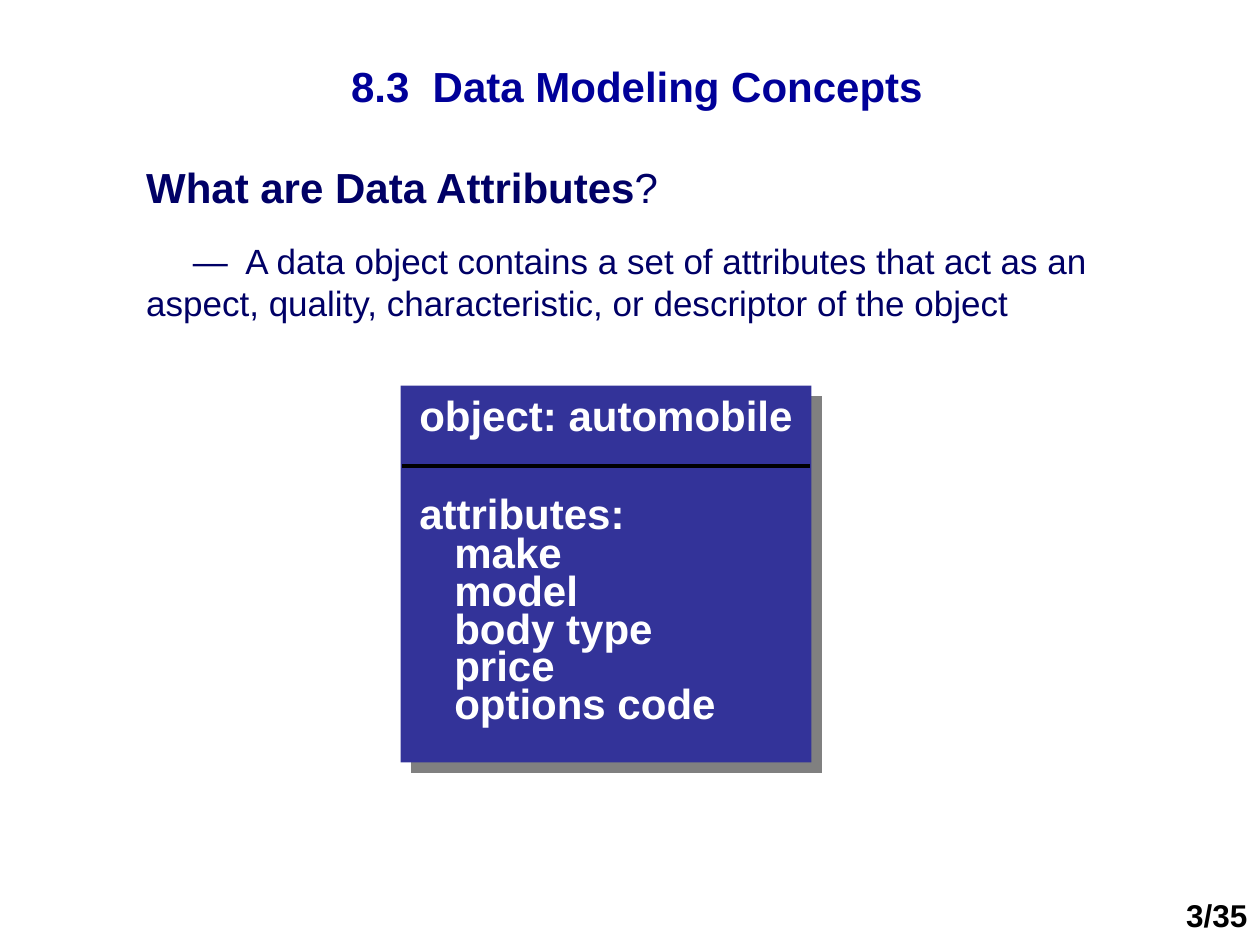
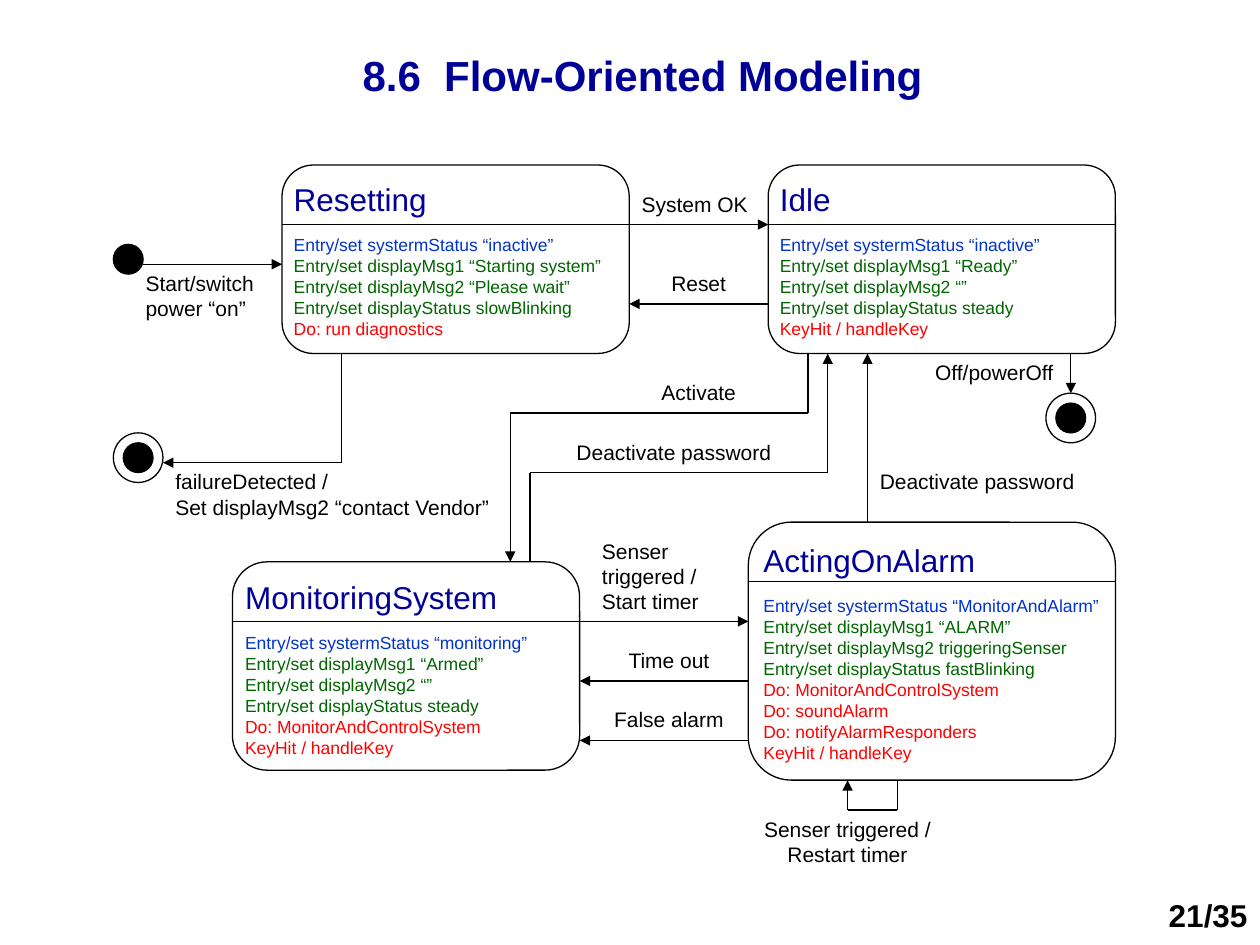
from lxml import etree
from pptx import Presentation, util as u
from pptx.dml import color as c
from pptx.enum import shapes as s, text as t
from pptx.oxml import ns

INK = {
    "title": "000099", "body": "000066", "card": "333399", "shade": "808080",
    "line": "000000", "white": "FFFFFF", "status": "0033CC",
    "entry": "006600", "act": "FF0000",
}
FACE = "Arial"
WIDE, HIGH = u.Inches(10), u.Inches(7.5)
STEP = u.Mm(2)
LEFT, TOP = u.Inches(0.9), u.Inches(1.31)
ALIGN = {"l": t.PP_ALIGN.LEFT, "c": t.PP_ALIGN.CENTER, "r": t.PP_ALIGN.RIGHT}


def share(x, y, w, h):
    return [int(n * side / 100) for n, side in zip((x, y, w, h), (WIDE, HIGH) * 2)]


def point(col, row):
    return LEFT + int(col * STEP), TOP + int(row * STEP)


def cells(col, row, w, h):
    return [*point(col, row), int(w * STEP), int(h * STEP)]


def rgb(name):
    return c.RGBColor.from_string(INK[name])


def style(run, size, ink, bold):
    run.font.name, run.font.size, run.font.bold = FACE, u.Pt(size), bold
    run.font.color.rgb = rgb(ink)


def write(frame, *lines, size=12, ink="line", bold=False, align="l",
          before=0, indent=0, first=0, pitch=None, mid=False, inset=(0.1, 0.1)):
    frame.word_wrap = True
    frame.auto_size = t.MSO_AUTO_SIZE.NONE
    frame.vertical_anchor = t.MSO_ANCHOR.MIDDLE if mid else t.MSO_ANCHOR.TOP
    frame.margin_left, frame.margin_right = [u.Inches(n) for n in inset]
    frame.margin_top = frame.margin_bottom = u.Inches(0.05)
    base = dict(size=size, ink=ink, bold=bold, before=before,
                indent=indent, first=first, pitch=pitch)
    for n, line in enumerate(lines):
        words, more = line if isinstance(line, tuple) else (line, {})
        look = {**base, **more}
        para = frame.paragraphs[0] if n == 0 else frame.add_paragraph()
        props = para._p.get_or_add_pPr()
        props.set("marL", str(u.Pt(look["indent"])))
        props.set("indent", str(u.Pt(look["first"])))
        etree.SubElement(props, ns.qn("a:buNone"))
        para.alignment = ALIGN[align]
        para.space_before = u.Pt(look["before"])
        if look["pitch"]:
            para.line_spacing = look["pitch"]
        run = para.add_run()
        run.text = words
        style(run, look["size"], look["ink"], look["bold"])


def label(page, box, *lines, **look):
    write(page.shapes.add_textbox(*box).text_frame, *lines, **look)


def form(page, kind, box, fill=None, line="line"):
    item = page.shapes.add_shape(kind, *box)
    item.shadow.inherit = False
    if fill:
        item.fill.solid()
        item.fill.fore_color.rgb = rgb(fill)
    else:
        item.fill.background()
    if line:
        item.line.color.rgb = rgb(line)
        item.line.width = u.Pt(0.75)
    else:
        item.line.fill.background()
    return item


def shade(item):
    effects = item._element.spPr.find(ns.qn("a:effectLst"))
    cast = etree.SubElement(effects, ns.qn("a:outerShdw"), blurRad="0",
                            dist=str(u.Pt(8.5)), dir="2700000",
                            algn="ctr", rotWithShape="0")
    etree.SubElement(cast, ns.qn("a:srgbClr"), val=INK["shade"])


def rule(page, start, end, width=0.75, arrow=False):
    item = page.shapes.add_connector(s.MSO_CONNECTOR.STRAIGHT, *start, *end)
    item.line.color.rgb = rgb("line")
    item.line.width = u.Pt(width)
    if arrow:
        etree.SubElement(item.line._get_or_add_ln(), ns.qn("a:tailEnd"), type="triangle")
    etree.SubElement(item._element.spPr, ns.qn("a:effectLst"))


def route(page, *stops):
    last = len(stops) - 2
    for n, (start, end) in enumerate(zip(stops, stops[1:])):
        rule(page, point(*start), point(*end), arrow=n == last)


def dot(page, col, row):
    form(page, s.MSO_SHAPE.OVAL, cells(col, row, 3, 3), fill="line")


def final(page, col, row):
    dot(page, col + 1, row + 1)
    form(page, s.MSO_SHAPE.OVAL, cells(col, row, 5, 5))


def tint(entry):
    if "systermStatus" in entry:
        return "status"
    return "entry" if entry.startswith("Entry") else "act"


def state(page, box, name, *entries):
    col, row, wide, _ = box
    item = form(page, s.MSO_SHAPE.ROUNDED_RECTANGLE, cells(*box))
    lines = [(entry, dict(ink=tint(entry), before=0 if n else 9.2))
             for n, entry in enumerate(entries)]
    write(item.text_frame, (name, dict(size=18, ink="title")), *lines,
          size=10, inset=(0.02, 0))
    rule(page, point(col, row + 6), point(col + wide, row + 6))


def place(item, box):
    item.left, item.top, item.width, item.height = box
    return item.text_frame


def start(deck, layout, title, box, number):
    page = deck.slides.add_slide(deck.slide_layouts[layout])
    write(place(page.shapes.title, box), title, size=24, ink="title",
          bold=True, align="c", mid=True)
    label(page, share(91, 94.13, 9, 5.33), f"{number}/35",
          size=18, bold=True, align="r")
    return page


def data(deck):
    page = start(deck, 1, "8.3  Data Modeling Concepts",
                 share(11.4, 2.8, 78.3, 12.53), 3)
    body = place(page.placeholders[1], share(10.6, 16.4, 79.5, 18.67))
    write(body, ("What are Data Attributes", dict(size=24, bold=True)),
          ("—  A data object contains a set of attributes that act as an aspect, "
           "quality, characteristic, or descriptor of the object",
           dict(before=16, first=26.7)), size=20, ink="body")
    mark = body.paragraphs[0].add_run()
    mark.text = "?"
    style(mark, 24, "body", False)

    shade(form(page, s.MSO_SHAPE.RECTANGLE, share(31.8, 40.8, 32.6, 39.87),
               fill="card", line=None))
    fields = [(name, dict(indent=20, pitch=0.75))
              for name in ("make", "model", "body type", "price", "options code")]
    label(page, share(32.3, 40.53, 32, 37.33), "object: automobile",
          ("attributes:", dict(before=27.6)), *fields,
          size=24, ink="white", bold=True)
    rule(page, share(31.9, 49.33, 0, 0)[:2], share(64.3, 49.33, 0, 0)[:2], width=2)


def flow(deck):
    page = start(deck, 5, "8.6  Flow-Oriented Modeling",
                 share(18.5, 2.8, 65, 10.13), 21)
    state(page, (17, 0, 35, 19), "Resetting",
          "Entry/set systermStatus “inactive”",
          "Entry/set displayMsg1 “Starting system”",
          "Entry/set displayMsg2 “Please wait”",
          "Entry/set displayStatus slowBlinking",
          "Do: run diagnostics")
    state(page, (66, 0, 35, 19), "Idle",
          "Entry/set systermStatus “inactive”",
          "Entry/set displayMsg1 “Ready”",
          "Entry/set displayMsg2 “”",
          "Entry/set displayStatus steady",
          "KeyHit / handleKey")
    state(page, (12, 40, 35, 21), "MonitoringSystem",
          "Entry/set systermStatus “monitoring”",
          "Entry/set displayMsg1 “Armed”",
          "Entry/set displayMsg2 “”",
          "Entry/set displayStatus steady",
          "Do: MonitorAndControlSystem",
          "KeyHit / handleKey")
    state(page, (64, 36, 37, 26), "ActingOnAlarm",
          "Entry/set systermStatus “MonitorAndAlarm”",
          "Entry/set displayMsg1 “ALARM”",
          "Entry/set displayMsg2 triggeringSenser",
          "Entry/set displayStatus fastBlinking",
          "Do: MonitorAndControlSystem",
          "Do: soundAlarm",
          "Do: notifyAlarmResponders",
          "KeyHit / handleKey")

    dot(page, 0, 8)
    final(page, 0, 27)
    final(page, 94, 23)

    for stops in (
        [(3, 10), (17, 10)],
        [(52, 6), (66, 6)],
        [(66, 14), (52, 14)],
        [(23, 19), (23, 30), (5, 30)],
        [(96.5, 19), (96.5, 23)],
        [(70, 19), (70, 25), (40, 25), (40, 40)],
        [(42, 40), (42, 31), (72, 31), (72, 19)],
        [(76, 36), (76, 19)],
        [(47, 46), (64, 46)],
        [(64, 52), (47, 52)],
        [(64, 58), (47, 58)],
        [(79, 62), (79, 65), (74, 65), (74, 62)],
    ):
        route(page, *stops)

    for box, align, *lines in (
        [(2, 10, 14, 6), "l", "Start/switch power “on”"],
        [(52, 2, 14, 4), "l", "System OK"],
        [(52, 10, 14, 4), "c", "Reset"],
        [(5, 30, 37, 6), "l", "failureDetected /", "Set displayMsg2 “contact Vendor”"],
        [(80, 19, 16, 4), "r", "Off/powerOff"],
        [(52, 21, 14, 4), "c", "Activate"],
        [(41, 27, 31, 4), "c", "Deactivate password"],
        [(76, 30, 23, 4), "l", "Deactivate password"],
        [(48, 37, 14, 9), "l", "Senser triggered / Start timer"],
        [(49, 48, 14, 4), "c", "Time out"],
        [(49, 54, 14, 4), "c", "False alarm"],
        [(64, 65, 20, 6), "c", "Senser triggered / Restart timer"],
    ):
        label(page, cells(*box), *lines, align=align)


def main():
    deck = Presentation()
    deck.slide_width, deck.slide_height = WIDE, HIGH
    data(deck)
    flow(deck)
    deck.save("out.pptx")


if __name__ == "__main__":
    main()
